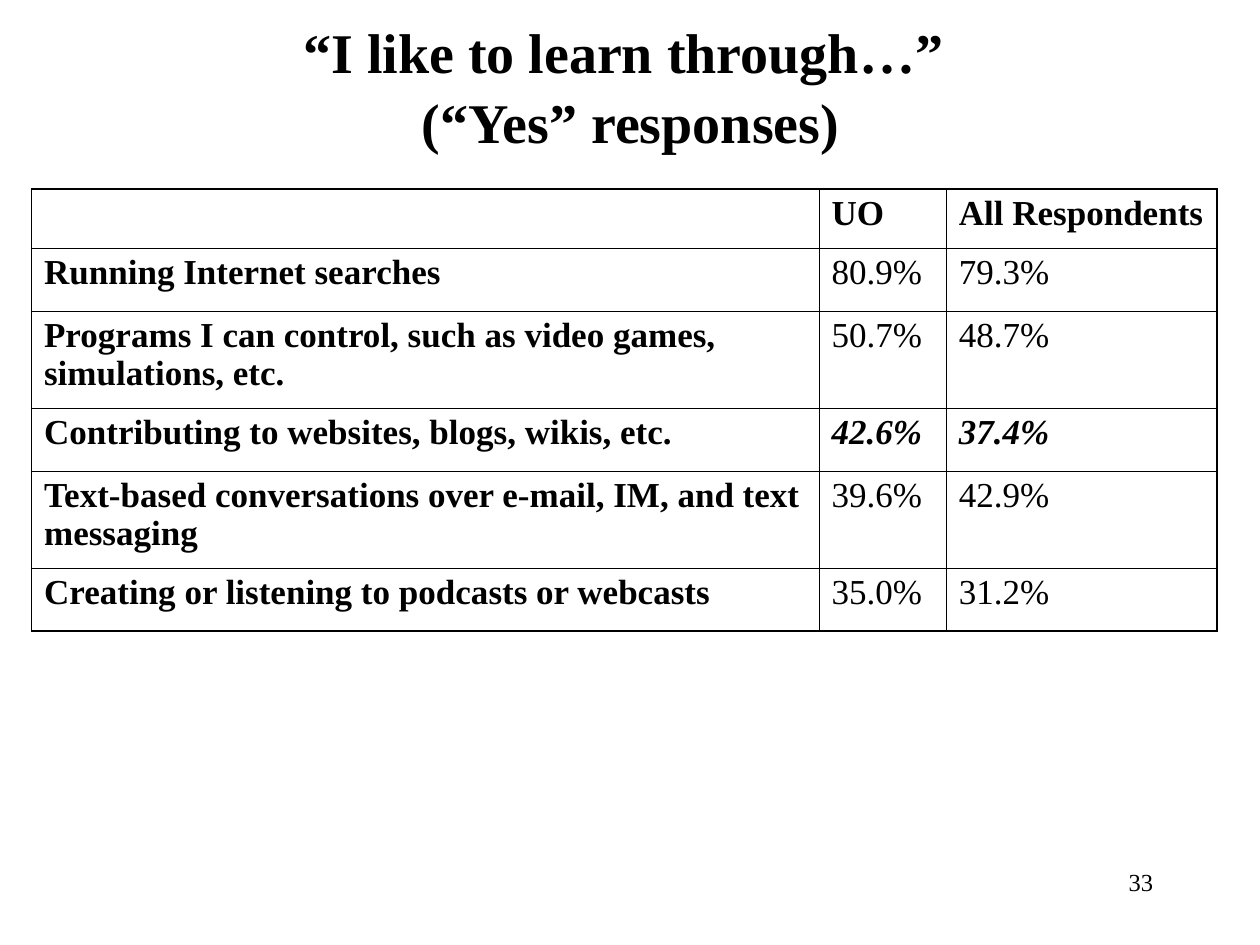
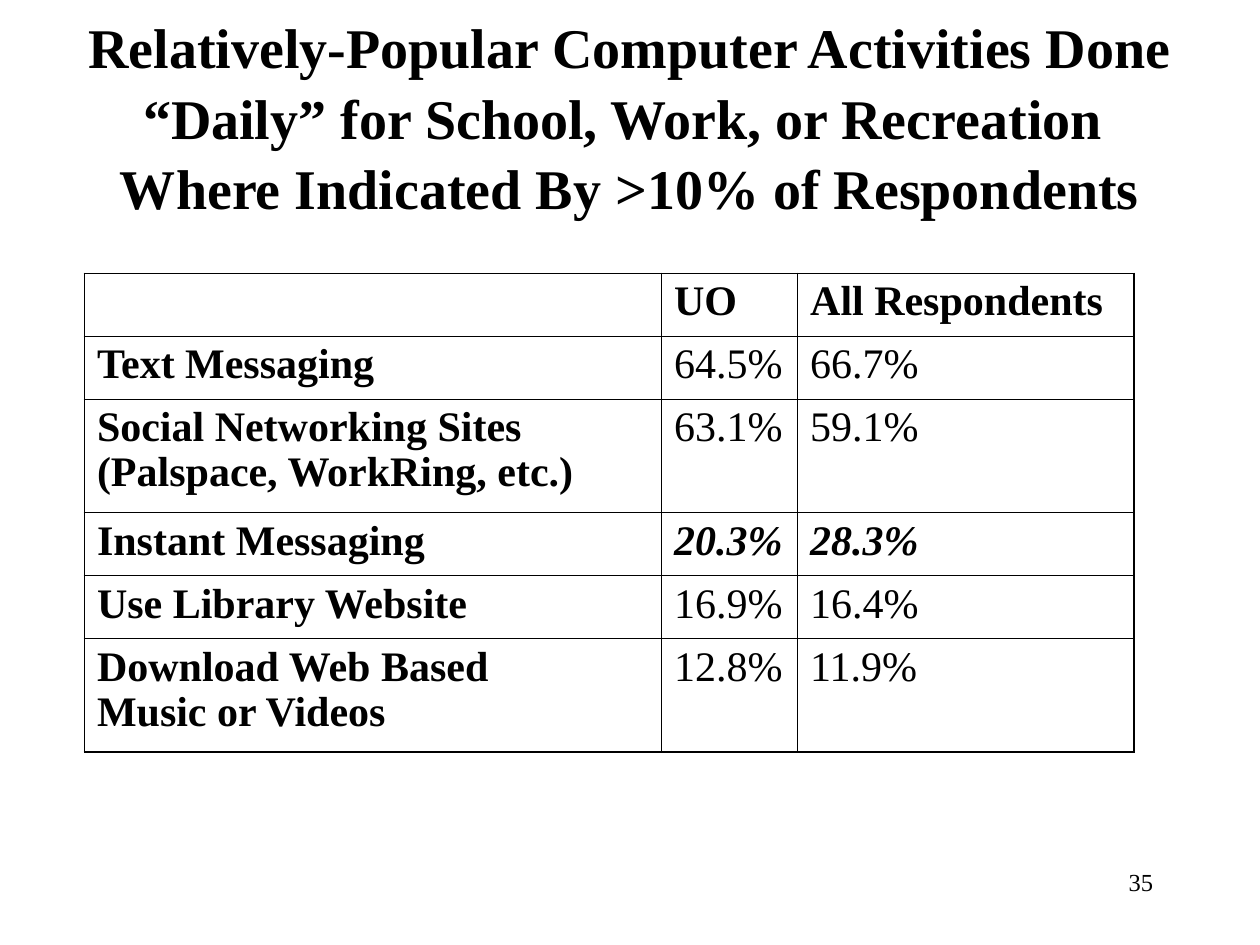
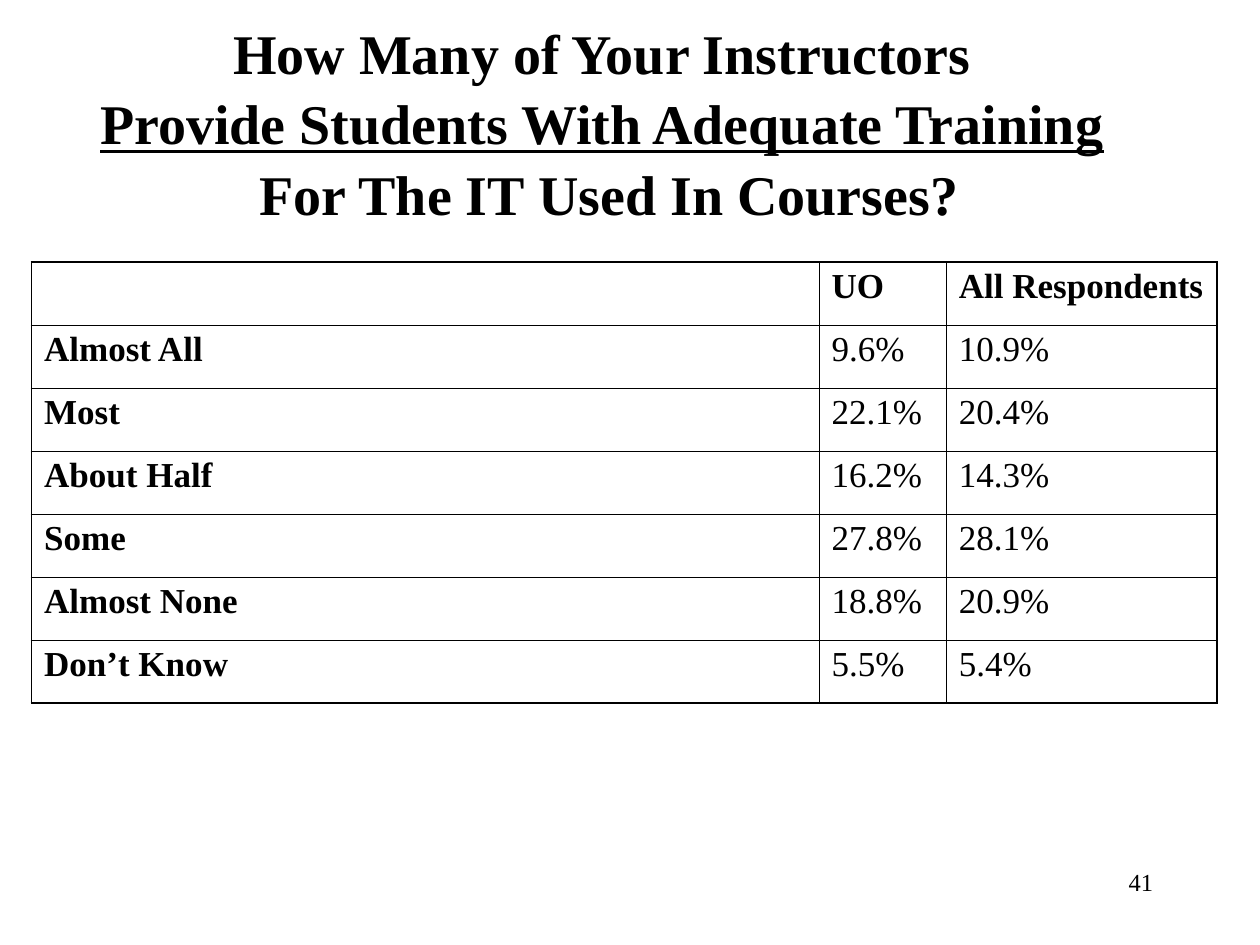
from dataclasses import dataclass

from lxml import etree
from pptx import Presentation
from pptx import util as u
from pptx.dml.color import RGBColor
from pptx.enum import text
from pptx.oxml.ns import qn


@dataclass(frozen=True)
class Theme:
    font: str = "Times New Roman"
    ink: RGBColor = RGBColor(0, 0, 0)
    title_size: int = 32
    number_size: int = 14
    title_spacing: float = 1.05
    cell_spacing: float = 0.97
    outer_line: float = 1.08
    inner_line: float = 0.45


T = Theme()
HEADER = ("", "UO", "All Respondents")
WIDE_COLS = (6.25, 1.01, 2.15)
NARROW_COLS = (4.58, 1.08, 2.67)


def style(p, size, bold=False, italic=False):
    f = p.font
    f.name, f.size, f.bold, f.italic = T.font, u.Pt(size), bold, italic
    f.color.rgb = T.ink


def add_title(s, box, lines, underlined=None):
    """Title placeholder; each line but the last ends in a space and a break."""
    sp = s.shapes.title
    sp.left, sp.top, sp.width, sp.height = map(u.Inches, box)
    tf = sp.text_frame
    tf.auto_size = text.MSO_AUTO_SIZE.NONE
    tf.vertical_anchor = text.MSO_ANCHOR.MIDDLE
    p = tf.paragraphs[0]
    p.alignment = text.PP_ALIGN.CENTER
    p.line_spacing = T.title_spacing
    style(p, T.title_size, bold=True)
    for i, line in enumerate(lines):
        r = p.add_run()
        r.text = line
        if line == underlined:
            r.font.underline = True
        if i < len(lines) - 1:
            p.add_run().text = " "
            p.add_line_break()


def add_border(cell, side, width):
    ln = etree.SubElement(cell._tc.get_or_add_tcPr(), qn(f"a:ln{side}"),
                          w=str(u.Pt(width)))
    fill = etree.SubElement(ln, qn("a:solidFill"))
    etree.SubElement(fill, qn("a:srgbClr"), val=str(T.ink))


def add_survey_table(s, left, top, cols, heights, rows, size, emphasis=None):
    """Bold labels and header; the emphasis row has bold italic values."""
    rows = [HEADER, *rows]
    last_row, last_col = len(rows) - 1, len(cols) - 1
    frame = s.shapes.add_table(len(rows), len(cols), u.Inches(left), u.Inches(top),
                               u.Inches(sum(cols)), u.Inches(sum(heights)))
    table = frame.table
    table.first_row = table.horz_banding = False
    for col, width in zip(table.columns, cols):
        col.width = u.Inches(width)
    for row, height in zip(table.rows, heights):
        row.height = u.Inches(height)

    for i, values in enumerate(rows):
        for j, value in enumerate(values):
            cell = table.cell(i, j)
            p = cell.text_frame.paragraphs[0]
            p.text = value
            p.line_spacing = T.cell_spacing
            strong = i > 0 and j > 0 and i == emphasis
            style(p, size, bold=i == 0 or j == 0 or strong, italic=strong)
            outer = {"L": j == 0, "R": j == last_col, "T": i == 0, "B": i == last_row}
            for side, is_outer in outer.items():
                add_border(cell, side, T.outer_line if is_outer else T.inner_line)
            cell.fill.background()


def add_page_number(s, number):
    sp = s.shapes.add_textbox(u.Inches(7.17), u.Inches(6.83),
                              u.Inches(2.08), u.Inches(0.5))
    sp.text_frame.word_wrap = True
    p = sp.text_frame.paragraphs[0]
    p.text = str(number)
    p.alignment = text.PP_ALIGN.RIGHT
    style(p, T.number_size)


def main():
    prs = Presentation()
    prs.slide_width, prs.slide_height = u.Inches(10), u.Inches(7.5)
    title_only = prs.slide_layouts[5]

    # Ways of learning
    s = prs.slides.add_slide(title_only)
    add_title(s, (0.17, 0.17, 9.67, 1),
              ["“I like to learn through…”", "(“Yes” responses)"])
    add_survey_table(s, 0.25, 1.5, WIDE_COLS, (0.47, 0.5, 0.77, 0.5, 0.77, 0.5), [
        ("Running Internet searches", "80.9%", "79.3%"),
        ("Programs I can control, such as video games, simulations, etc.",
         "50.7%", "48.7%"),
        ("Contributing to websites, blogs, wikis, etc.", "42.6%", "37.4%"),
        ("Text-based conversations over e-mail, IM, and text messaging",
         "39.6%", "42.9%"),
        ("Creating or listening to podcasts or webcasts", "35.0%", "31.2%"),
    ], size=20, emphasis=3)
    add_page_number(s, 33)

    # Daily computer activities
    s = prs.slides.add_slide(title_only)
    add_title(s, (0.25, 0.25, 9.5, 1.33),
              ["Relatively-Popular Computer Activities Done "
               "“Daily” for School, Work, or Recreation",
               "Where Indicated By >10% of Respondents"])
    add_survey_table(s, 0.67, 2.17, NARROW_COLS, (0.5, 0.5, 0.9, 0.5, 0.5, 0.9), [
        ("Text Messaging", "64.5%", "66.7%"),
        ("Social Networking Sites (Palspace, WorkRing, etc.)", "63.1%", "59.1%"),
        ("Instant Messaging", "20.3%", "28.3%"),
        ("Use Library Website", "16.9%", "16.4%"),
        ("Download Web Based \vMusic or Videos", "12.8%", "11.9%"),
    ], size=24, emphasis=3)
    add_page_number(s, 35)

    # Training by instructors
    s = prs.slides.add_slide(title_only)
    training = "Provide Students With Adequate Training"
    add_title(s, (0, 0.25, 9.67, 1.42),
              ["How Many of Your Instructors", training,
               "For The IT Used In Courses?"], underlined=training)
    add_survey_table(s, 0.25, 2.08, WIDE_COLS, [0.5] * 7, [
        ("Almost All", "9.6%", "10.9%"),
        ("Most", "22.1%", "20.4%"),
        ("About Half", "16.2%", "14.3%"),
        ("Some", "27.8%", "28.1%"),
        ("Almost None", "18.8%", "20.9%"),
        ("Don’t Know", "5.5%", "5.4%"),
    ], size=20)
    add_page_number(s, 41)

    prs.save("out.pptx")


if __name__ == "__main__":
    main()
